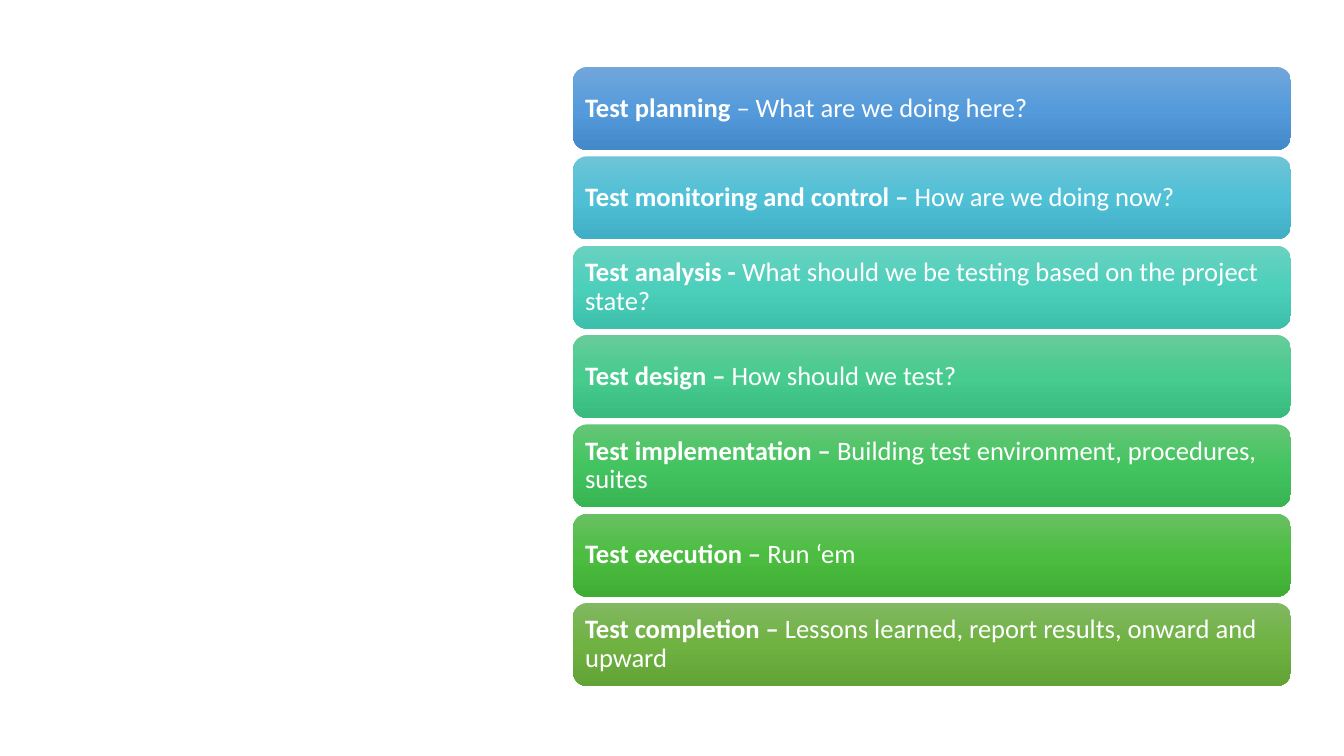
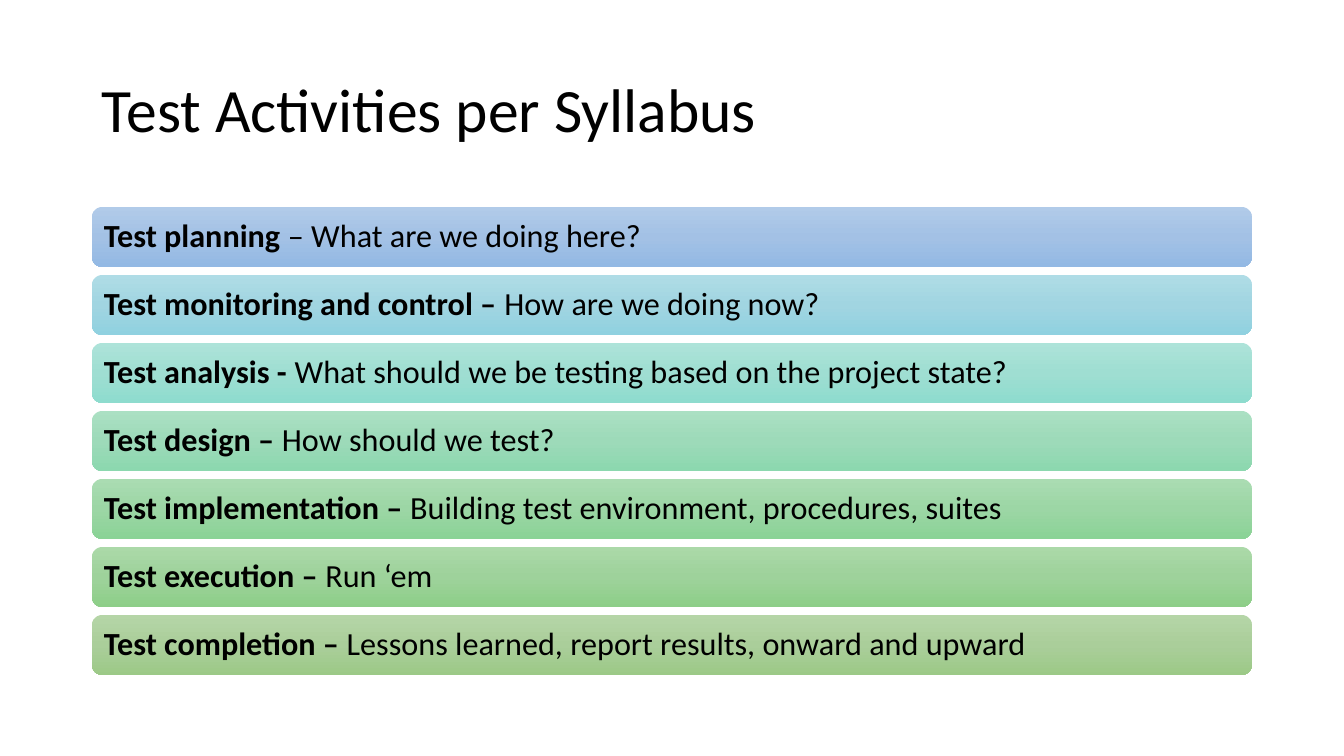
from copy import deepcopy

from pptx import Presentation
from pptx.dml.color import RGBColor
from pptx.enum.shapes import MSO_SHAPE
from pptx.enum.text import MSO_ANCHOR, PP_ALIGN
from pptx.oxml.ns import qn
from pptx.util import Pt

SCALE = 914400 / 100.8
FONT = "Calibri"
LINE_SPACING = 0.9
COLORS = {
    "light_text": "FFFFFF",
    "dark_text": "000000",
    "vivid": [
        ("71A6DB", "559BDB", "448ACA"),
        ("6EC4D6", "50C0D6", "40AFC5"),
        ("6AD1C0", "4CD0BC", "3CC0AC"),
        ("67CC9A", "47CB8E", "39BB7F"),
        ("64C677", "44C460", "36B552"),
        ("69C062", "4CBD41", "3FAD34"),
        ("81B861", "6FB242", "62A336"),
    ],
    "pale": [
        ("B1CBE9", "A3C1E5", "93B9E4"),
        ("AFDCE6", "A1D5E1", "90D1E0"),
        ("ADE3D9", "9FDED2", "8EDCCE"),
        ("ABE0C3", "9DDAB9", "8CD8AF"),
        ("AADCB2", "9CD6A5", "8AD396"),
        ("ABD9A8", "9ED29B", "8DCE88"),
        ("B5D5A7", "AACE9A", "9CC987"),
    ],
}
ACTIVITIES = [
    ("Test planning ", "– What are we doing here?"),
    ("Test monitoring and control – ", "How are we doing now?"),
    ("Test analysis - ", "What should we be testing based on the project state?"),
    ("Test design – ", "How should we test?"),
    ("Test implementation – ", "Building test environment, procedures, suites"),
    ("Test execution – ", "Run ‘em"),
    ("Test completion – ", "Lessons learned, report results, onward and upward"),
]
PAGES = [
    {"title": None, "left": 573, "top": 67, "last_top": 603, "width": 718,
     "height": 83, "inset": 10, "size": 19, "text": "light_text", "fills": "vivid"},
    {"title": "Test Activities per Syllabus", "left": 92, "top": 207, "last_top": 615,
     "width": 1160, "height": 60, "inset": 11, "size": 23, "text": "dark_text",
     "fills": "pale"},
]


def px(length):
    return round(length * SCALE)


def write(shape, spans, size, color, inset):
    frame = shape.text_frame
    frame.word_wrap = True
    frame.vertical_anchor = MSO_ANCHOR.MIDDLE
    frame.margin_left = frame.margin_right = px(inset)
    frame.margin_top = frame.margin_bottom = 0
    para = frame.paragraphs[0]
    para.alignment = PP_ALIGN.LEFT
    para.line_spacing = LINE_SPACING
    for text, bold in spans:
        span = para.add_run()
        span.text = text
        span.font.name = FONT
        span.font.size = Pt(size)
        span.font.bold = bold
        span.font.color.rgb = RGBColor.from_string(COLORS[color])


deck = Presentation()
deck.slide_width = px(1344)
deck.slide_height = px(756)

for layout in PAGES:
    page = deck.slides.add_slide(deck.slide_layouts[6])
    if layout["title"]:
        title = page.shapes.add_textbox(px(92), px(40), px(1160), px(146))
        write(title, [(layout["title"], False)], 44, "dark_text", 10)

    pitch = (layout["last_top"] - layout["top"]) / (len(ACTIVITIES) - 1)
    for index, (name, question) in enumerate(ACTIVITIES):
        bar = page.shapes.add_shape(
            MSO_SHAPE.ROUNDED_RECTANGLE, px(layout["left"]),
            px(layout["top"] + index * pitch), px(layout["width"]), px(layout["height"]))
        bar.adjustments[0] = 0.17
        bar.shadow.inherit = False
        bar.line.fill.background()
        bar.fill.gradient()
        bar.fill.gradient_angle = 270
        stop_list = bar._element.spPr.find(qn("a:gradFill")).find(qn("a:gsLst"))
        stop_list.insert(1, deepcopy(stop_list[0]))
        shades = COLORS[layout["fills"]][index]
        for stop, position, shade in zip(bar.fill.gradient_stops, (0, 0.5, 1), shades):
            stop.position = position
            stop.color.rgb = RGBColor.from_string(shade)
        write(bar, [(name, True), (question, False)],
              layout["size"], layout["text"], layout["inset"] - 2)

deck.save("out.pptx")
